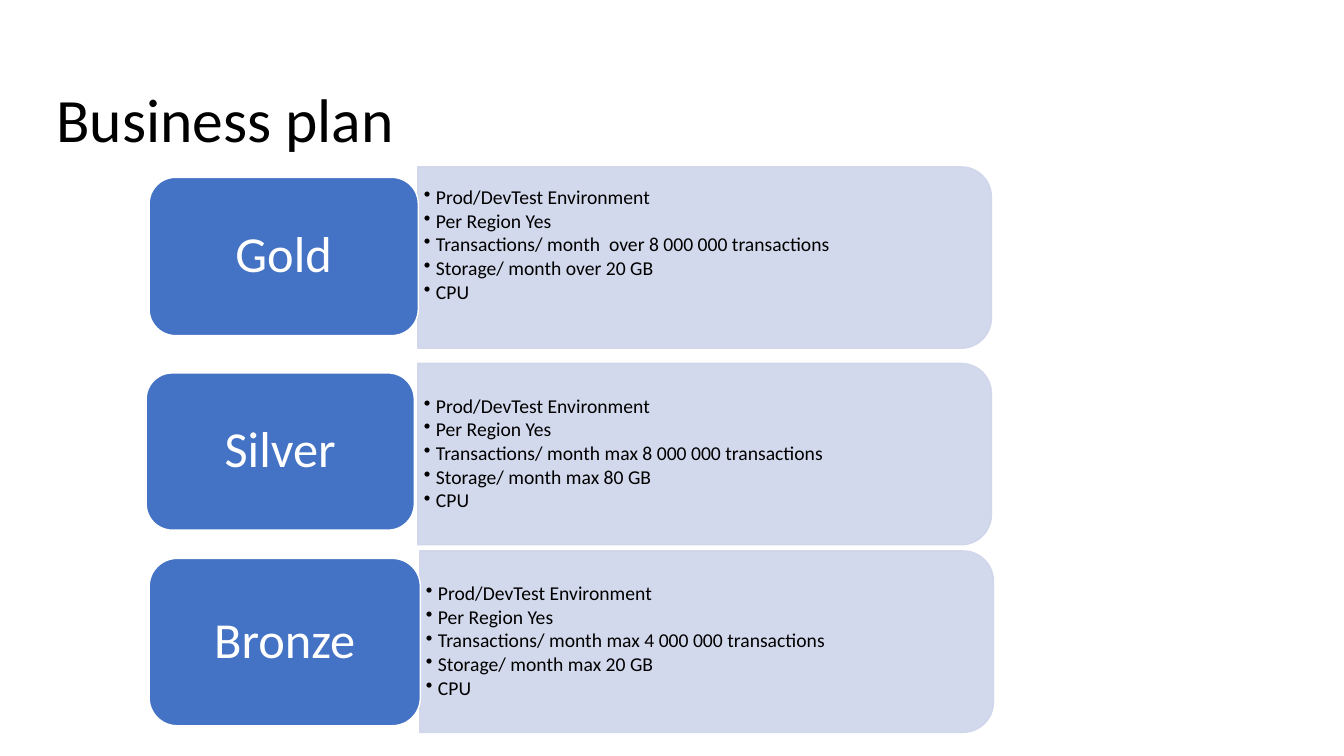
from dataclasses import dataclass

from lxml import etree
from pptx import Presentation
from pptx.dml.color import RGBColor
from pptx.enum.shapes import MSO_SHAPE
from pptx.enum.text import MSO_ANCHOR, PP_ALIGN
from pptx.oxml.ns import qn
from pptx.util import Inches, Pt

ROUNDED = MSO_SHAPE.ROUNDED_RECTANGLE
ROUNDED_END = MSO_SHAPE.ROUND_2_SAME_RECTANGLE
MIDDLE, BOTTOM = MSO_ANCHOR.MIDDLE, MSO_ANCHOR.BOTTOM
LEFT, CENTER = PP_ALIGN.LEFT, PP_ALIGN.CENTER

# The slide is a grid of square cells
COLUMNS, ROWS = 160, 90


@dataclass(frozen=True)
class Theme:
    font: str = "Calibri"
    ink: RGBColor = RGBColor(0x00, 0x00, 0x00)
    paper: RGBColor = RGBColor(0xFF, 0xFF, 0xFF)
    label: RGBColor = RGBColor(0x44, 0x72, 0xC4)
    panel: RGBColor = RGBColor(0xCF, 0xD5, 0xEA)
    panel_opacity: int = 90
    title_size: int = 44
    label_size: int = 36
    list_size: int = 14


@dataclass(frozen=True)
class Plan:
    name: str
    label: tuple  # left, top, width, height in cells
    panel: tuple  # left, top in cells
    transactions: str
    storage: str
    bottom_inset: float = 0.03

    def features(self):
        return ["Prod/DevTest Environment", "Per Region Yes",
                f"Transactions/ month {self.transactions} transactions",
                f"Storage/ month {self.storage}", "CPU"]


PANEL_SIZE = (68.28, 21.6)
LIST_SIZE = (67.2, 19.44)
LIST_DROP = (PANEL_SIZE[1] - LIST_SIZE[1]) / 2
TITLE_AREA = (6.72, 4.8, 138.96, 13.8)

PLANS = [
    Plan("Gold", (17.76, 21.12, 32.04, 18.84), (49.74, 19.86),
         " over 8 000 000", "over 20 GB", bottom_inset=0.27),
    Plan("Silver", (17.4, 44.4, 31.92, 18.72), (49.74, 43.26),
         "max 8 000 000", "max 80 GB"),
    Plan("Bronze", (17.76, 66.48, 32.28, 19.92), (49.98, 65.58),
         "max 4 000 000", "max 20 GB"),
]


class PlanSlide:
    def __init__(self, deck, theme):
        self.theme = theme
        self.page = deck.slides.add_slide(deck.slide_layouts[6])
        self.cell_width = deck.slide_width / COLUMNS
        self.cell_height = deck.slide_height / ROWS

    def place(self, left, top, width, height):
        return (round(left * self.cell_width), round(top * self.cell_height),
                round(width * self.cell_width), round(height * self.cell_height))

    def shape(self, kind, area, fill, line):
        shape = self.page.shapes.add_shape(kind, *self.place(*area))
        shape.shadow.inherit = False
        shape.fill.solid()
        shape.fill.fore_color.rgb = fill
        shape.line.color.rgb = line
        shape.line.width = Pt(1)
        return shape

    def set_text(self, shape, lines, size, color, align, anchor, insets):
        frame = shape.text_frame
        frame.word_wrap = True
        frame.vertical_anchor = anchor
        frame.margin_left = frame.margin_right = Inches(insets[0])
        frame.margin_top, frame.margin_bottom = Inches(insets[1]), Inches(insets[2])
        for number, line in enumerate(lines):
            para = frame.add_paragraph() if number else frame.paragraphs[0]
            para.text = line
            para.alignment = align
            para.line_spacing = 0.9
            para.font.name = self.theme.font
            para.font.size = Pt(size)
            para.font.color.rgb = color
        return frame.paragraphs

    def text(self, area, *style):
        box = self.page.shapes.add_textbox(*self.place(*area))
        return self.set_text(box, *style)

    def title(self, words):
        self.text(TITLE_AREA, [words], self.theme.title_size, self.theme.ink,
                  LEFT, BOTTOM, (0, 0, 0))

    def panel(self, left, top):
        # A quarter turn brings the rounded end to the right
        length, depth = PANEL_SIZE
        shift = (length - depth) / 2
        area = (left + shift, top - shift, depth, length)
        panel = self.shape(ROUNDED_END, area, self.theme.panel, self.theme.panel)
        panel.rotation = 90
        for color in panel._element.spPr.iter(qn("a:srgbClr")):
            etree.SubElement(color, qn("a:alpha"), val=str(self.theme.panel_opacity * 1000))

    def bullets(self, left, top, lines, bottom_inset):
        paras = self.text((left, top, *LIST_SIZE), lines, self.theme.list_size,
                          self.theme.ink, LEFT, MIDDLE, (0.06, 0.03, bottom_inset))
        for para in paras:
            para.space_after = Pt(1.8)
            settings = para._p.get_or_add_pPr()
            settings.set("marL", str(Inches(0.12)))
            settings.set("indent", str(-Inches(0.12)))
            bullet = etree.Element(qn("a:buChar"), char="•")
            settings.find(qn("a:spcAft")).addnext(bullet)

    def label(self, area, name):
        label = self.shape(ROUNDED, area, self.theme.label, self.theme.paper)
        self.set_text(label, [name], self.theme.label_size, self.theme.paper,
                      CENTER, MIDDLE, (0.15, 0.07, 0.07))

    def plan(self, plan):
        left, top = plan.panel
        self.panel(left, top)
        self.bullets(left, top + LIST_DROP, plan.features(), plan.bottom_inset)
        self.label(plan.label, plan.name)


def main():
    deck = Presentation()
    deck.slide_width, deck.slide_height = Inches(13.33), Inches(7.5)
    slide = PlanSlide(deck, Theme())
    slide.title("Business plan")
    for plan in PLANS:
        slide.plan(plan)
    deck.save("out.pptx")


if __name__ == "__main__":
    main()
